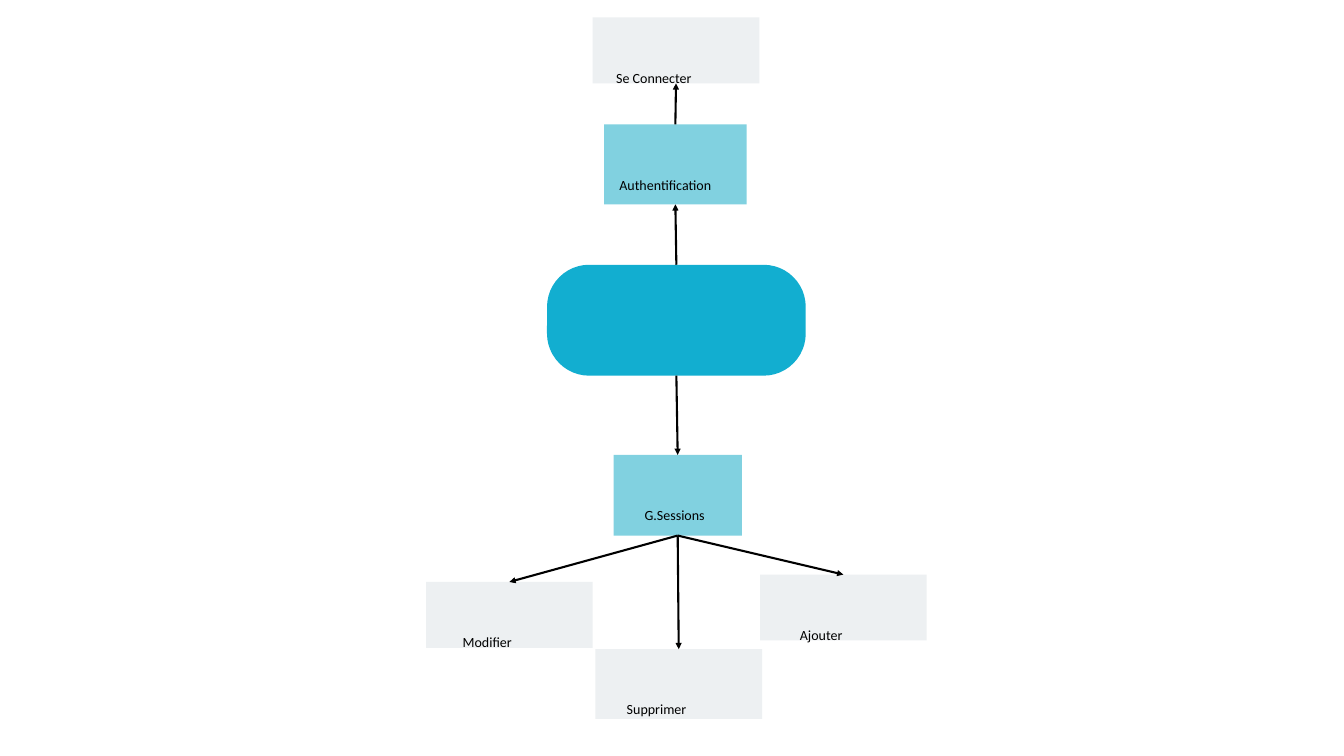
from lxml import etree
from pptx import Presentation
from pptx.dml.color import RGBColor
from pptx.enum.shapes import MSO_CONNECTOR, MSO_SHAPE
from pptx.enum.text import MSO_ANCHOR, PP_ALIGN
from pptx.oxml.ns import qn
from pptx.util import Pt

PX = 9144  # 100 px to the inch
RECT = MSO_SHAPE.RECTANGLE
ROUND = MSO_SHAPE.ROUNDED_RECTANGLE
LINE = MSO_CONNECTOR.STRAIGHT
MIDDLE = MSO_ANCHOR.MIDDLE
CENTER = PP_ALIGN.CENTER
TOP, BOTTOM = 0, 2

BLUE = RGBColor(0x12, 0xAE, 0xD0)
AQUA = RGBColor(0x81, 0xD1, 0xE0)
GREY = RGBColor(0xED, 0xF0, 0xF2)
BLACK = RGBColor(0, 0, 0)

# name: text, fill, box
NODES = {
    "auth": ("Authentification", AQUA, (899, 185, 212, 119)),
    "login": ("Se Connecter", GREY, (882, 26, 248, 98)),
    "sessions": ("G.Sessions", AQUA, (913, 677, 191, 120)),
    "add": ("Ajouter", GREY, (1131, 855, 248, 98)),
    "edit": ("Modifier", GREY, (634, 866, 248, 98)),
    "delete": ("Supprimer", GREY, (886, 966, 248, 104)),
}
LINKS = [
    ("hub", TOP, "auth", BOTTOM),
    ("auth", TOP, "login", BOTTOM),
    ("hub", BOTTOM, "sessions", TOP),
    ("sessions", BOTTOM, "edit", TOP),
    ("sessions", BOTTOM, "add", TOP),
    ("sessions", BOTTOM, "delete", TOP),
]


def emu(*sizes):
    return [size * PX for size in sizes]


def block(slide, kind, box, fill):
    shape = slide.shapes.add_shape(kind, *emu(*box))
    shape.shadow.inherit = False
    shape.fill.solid()
    shape.fill.fore_color.rgb = fill
    shape.line.fill.background()
    return shape


def hub(slide, box):
    shape = block(slide, ROUND, box, BLUE)
    shape.adjustments[0] = 0.38
    return shape


def label(slide, left, top, text):
    frame = slide.shapes.add_textbox(*emu(left, top, 182, 191)).text_frame
    frame.word_wrap = True
    frame.vertical_anchor = MIDDLE
    frame.margin_left = frame.margin_right = 6 * PX
    frame.margin_top = frame.margin_bottom = 6 * PX
    frame.text = text
    para = frame.paragraphs[0]
    para.alignment = CENTER
    para.line_spacing = Pt(21)
    font = para.runs[0].font
    font.name = "Calibri"
    font.size = Pt(15)
    font.color.rgb = BLACK


def node(slide, box, text, fill):
    """Draw a rectangle with its label set from the top left corner."""
    shape = block(slide, RECT, box, fill)
    left, top = box[:2]
    label(slide, left, top - 8, text)
    return shape


def arrow(slide, start, out, end, into):
    """Join two shapes, with the head at the second."""
    link = slide.shapes.add_connector(LINE, 0, 0, 0, 0)
    link.begin_connect(start, out)
    link.end_connect(end, into)
    link.line.color.rgb = BLACK
    link.line.width = Pt(2.25)
    etree.SubElement(link.line._get_or_add_ln(), qn("a:tailEnd"), type="triangle")
    etree.SubElement(link._element.spPr, qn("a:effectLst"))


def main():
    prs = Presentation()
    prs.slide_width, prs.slide_height = emu(2000, 1125)
    slide = prs.slides.add_slide(prs.slide_layouts[6])
    parts = {"hub": hub(slide, (814, 394, 385, 165))}
    for name, (text, fill, box) in NODES.items():
        parts[name] = node(slide, box, text, fill)
    for start, out, end, into in LINKS:
        arrow(slide, parts[start], out, parts[end], into)
    prs.save("out.pptx")


if __name__ == "__main__":
    main()
